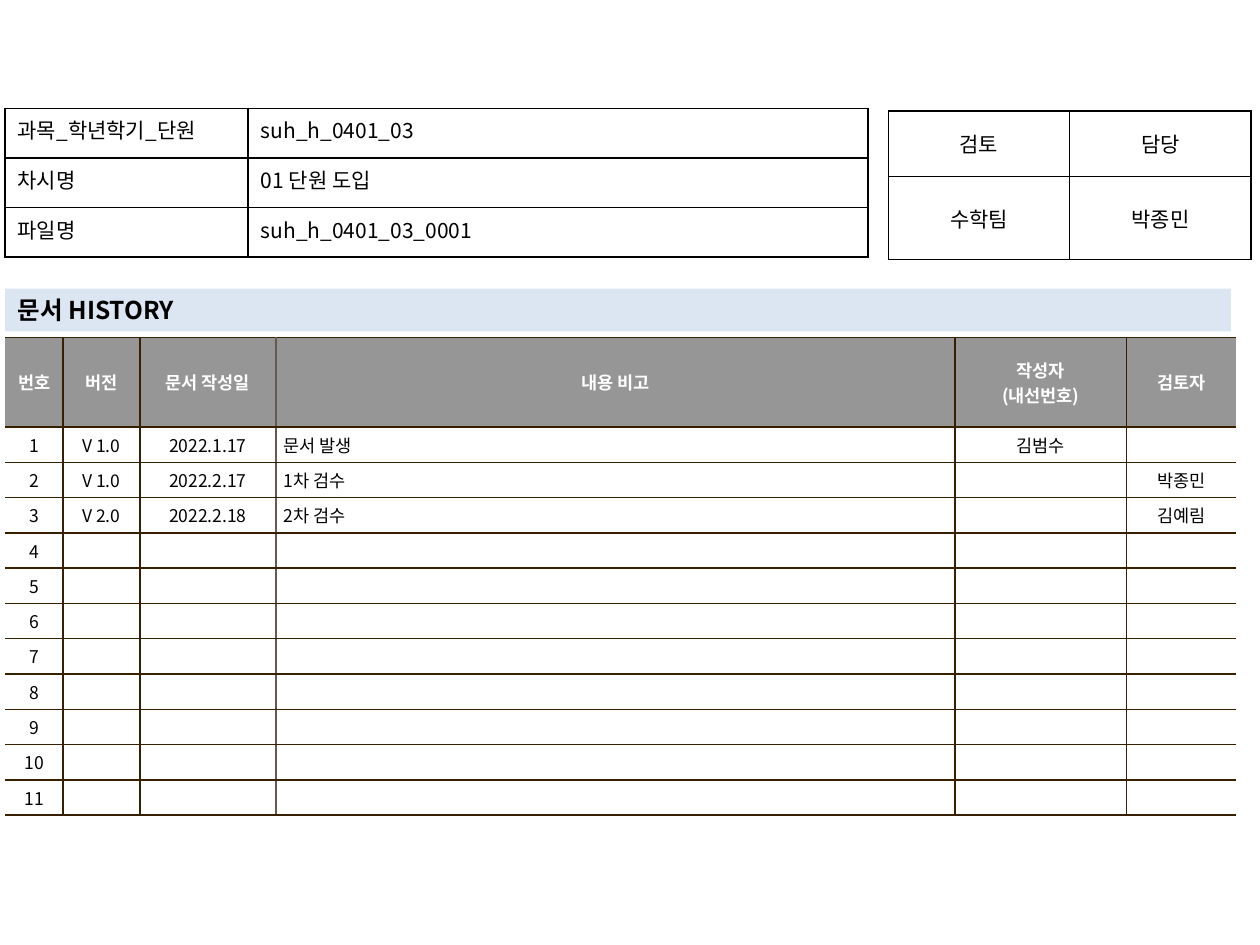
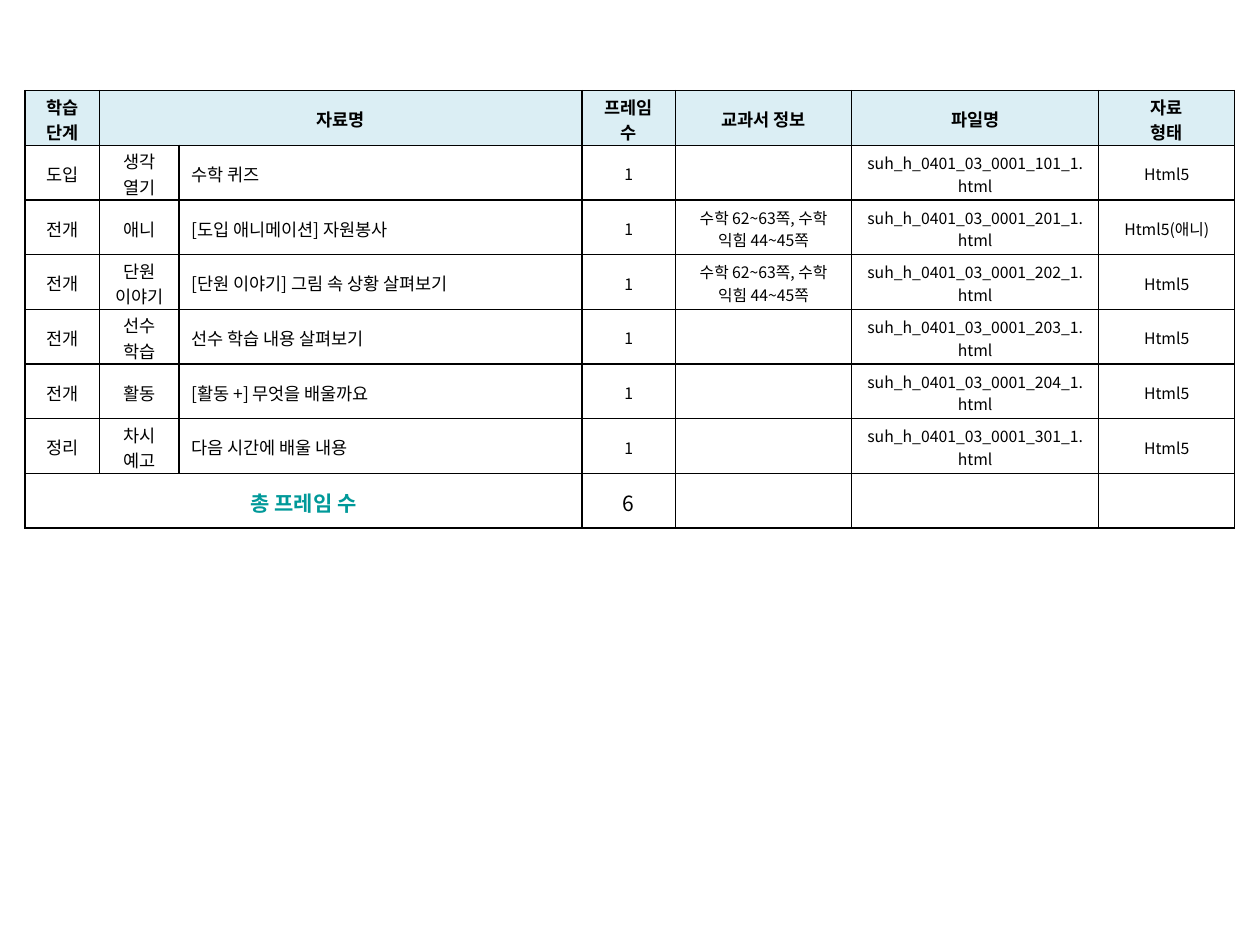
from collections.abc import Callable
from dataclasses import dataclass, replace

from lxml.etree import SubElement
from pptx import Presentation
from pptx.dml.color import RGBColor
from pptx.enum.text import MSO_ANCHOR, MSO_AUTO_SIZE, PP_ALIGN
from pptx.oxml.ns import qn
from pptx.slide import Slide
from pptx.table import _Cell
from pptx.text.text import TextFrame
from pptx.util import Emu, Inches, Pt

FONT = "Noto Sans CJK KR"
BLACK = RGBColor(0x00, 0x00, 0x00)
WHITE = RGBColor(0xFF, 0xFF, 0xFF)
GRAY = RGBColor(0x96, 0x96, 0x96)
BROWN = RGBColor(0x36, 0x20, 0x00)
TAUPE = RGBColor(0x64, 0x5B, 0x4C)
PALE_BLUE = RGBColor(0xDC, 0xE6, 0xF2)
PALE_TEAL = RGBColor(0xDB, 0xEE, 0xF4)
TEAL = RGBColor(0x00, 0x99, 0x99)

GRID_COLUMNS, GRID_ROWS = 100, 75
GRID_STEP = Inches(0.1)


@dataclass(frozen=True)
class Look:
    size: float = 12
    bold: bool = False
    color: RGBColor = BLACK
    align: PP_ALIGN = PP_ALIGN.CENTER
    fill: RGBColor | None = None


@dataclass(frozen=True)
class Grid:
    left: float
    top: float
    columns: list[float]
    rows: list[float]
    look: Callable[[int, int], Look]
    margins: tuple[float, float, float, float] = (1, 0.5, 1, 0.5)
    anchor: MSO_ANCHOR = MSO_ANCHOR.MIDDLE
    border: RGBColor = BLACK
    open_sides: bool = False
    soft_edge: int | None = None
    merges: tuple[tuple[int, int, int], ...] = ()


def steps(count: float) -> Emu:
    return Emu(round(count * GRID_STEP))


def write_text(frame: TextFrame, text: str, *, size: float, bold: bool = False,
               color: RGBColor = BLACK, align: PP_ALIGN = PP_ALIGN.LEFT) -> None:
    frame.text = text
    for paragraph in frame.paragraphs:
        paragraph.alignment = align
        for run in paragraph.runs:
            run.font.name = FONT
            run.font.size = Pt(size)
            run.font.bold = bold
            run.font.color.rgb = color
            SubElement(run.font._element, qn("a:ea"), typeface=FONT)
        if not paragraph.runs:
            SubElement(paragraph._p, qn("a:endParaRPr"), sz=str(int(size * 100)))


def draw_border(cell: _Cell, side: str, color: RGBColor | None) -> None:
    properties = cell._tc.get_or_add_tcPr()
    line = SubElement(properties, qn(f"a:ln{side}"), w=str(Pt(1)))
    if color is None:
        SubElement(line, qn("a:noFill"))
    else:
        paint = SubElement(line, qn("a:solidFill"))
        SubElement(paint, qn("a:srgbClr"), val=str(color))


def side_colors(grid: Grid, column: int) -> dict[str, RGBColor | None]:
    def edge(index: int) -> RGBColor | None:
        if grid.open_sides and index in (0, len(grid.columns)):
            return None
        return TAUPE if index == grid.soft_edge else grid.border

    return {"L": edge(column), "R": edge(column + 1),
            "T": grid.border, "B": grid.border}


def draw_table(slide: Slide, grid: Grid, content: list[list[str]]) -> None:
    table = slide.shapes.add_table(
        len(grid.rows), len(grid.columns), steps(grid.left), steps(grid.top),
        steps(sum(grid.columns)), steps(sum(grid.rows))).table
    table.first_row = table.horz_banding = False
    for column, width in zip(table.columns, grid.columns):
        column.width = steps(width)
    for row, height in zip(table.rows, grid.rows):
        row.height = steps(height)
    for r, texts in enumerate(content):
        for c, text in enumerate(texts):
            cell, look = table.cell(r, c), grid.look(r, c)
            for side, color in side_colors(grid, c).items():
                draw_border(cell, side, color)
            if look.fill is None:
                cell.fill.background()
            else:
                cell.fill.solid()
                cell.fill.fore_color.rgb = look.fill
            (cell.margin_left, cell.margin_top,
             cell.margin_right, cell.margin_bottom) = map(steps, grid.margins)
            cell.vertical_anchor = grid.anchor
            write_text(cell.text_frame, text, size=look.size, bold=look.bold,
                       color=look.color, align=look.align)
    for row, first, last in grid.merges:
        table.cell(row, first).merge(table.cell(row, last))


def draw_heading(slide: Slide, text: str) -> None:
    heading = slide.shapes.title
    heading.left, heading.top = steps(0.4), steps(22.9)
    heading.width, heading.height = steps(97.3), steps(3.4)
    heading.fill.solid()
    heading.fill.fore_color.rgb = PALE_BLUE
    frame = heading.text_frame
    frame.auto_size = MSO_AUTO_SIZE.NONE
    frame.word_wrap = True
    frame.vertical_anchor = MSO_ANCHOR.MIDDLE
    write_text(frame, text, size=14, bold=True)


def history_look(row: int, column: int) -> Look:
    if row == 0:
        return Look(size=10, bold=True, color=WHITE, fill=GRAY)
    align = PP_ALIGN.LEFT if column == 3 else PP_ALIGN.CENTER
    return Look(size=10, align=align, fill=WHITE)


def frames_look(row: int, column: int) -> Look:
    if row == 0:
        return Look(size=10, bold=True, fill=PALE_TEAL)
    if row == len(LESSON_PARTS) + 1:
        return Look(bold=True, color=TEAL) if column < 3 else Look()
    base = Look(size=10 if column < 3 else 9)
    return replace(base, align=PP_ALIGN.LEFT) if column == 2 else base


FILE_STEM = "suh_h_0401_03"
UNIT_INFO = [
    ["과목_학년학기_단원", FILE_STEM],
    ["차시명", "01 단원 도입"],
    ["파일명", f"{FILE_STEM}_0001"],
]
REVIEWERS = [["검토", "담당"], ["수학팀", "박종민"]]
HISTORY_HEADER = ["번호", "버전", "문서 작성일", "내용 비고", "작성자\n(내선번호)", "검토자"]
REVISIONS = [
    ["V 1.0", "2022.1.17", "문서 발생", "김범수", ""],
    ["V 1.0", "2022.2.17", "1차 검수", "", "박종민"],
    ["V 2.0", "2022.2.18", "2차 검수", "", "김예림"],
]
HISTORY_LENGTH = 11
FRAMES_HEADER = ["학습 단계", "자료명", "", "프레임 수", "교과서 정보", "파일명", "자료\n형태"]
TEXTBOOK_PAGES = "수학 62~63쪽, 수학 익힘 44~45쪽"
LESSON_PARTS = [
    ("도입", "생각\n열기", "수학 퀴즈", "", 101, "Html5"),
    ("전개", "애니", "[도입 애니메이션] 자원봉사", TEXTBOOK_PAGES, 201, "Html5(애니)"),
    ("전개", "단원\n이야기", "[단원 이야기] 그림 속 상황 살펴보기", TEXTBOOK_PAGES, 202, "Html5"),
    ("전개", "선수\n학습", "선수 학습 내용 살펴보기", "", 203, "Html5"),
    ("전개", "활동", "[활동 +] 무엇을 배울까요", "", 204, "Html5"),
    ("정리", "차시 예고", "다음 시간에 배울 내용", "", 301, "Html5"),
]

UNIT_GRID = Grid(0.4, 8.6, [19.3, 49.2], [3.93] * 3,
                 lambda row, column: Look(align=PP_ALIGN.LEFT), anchor=MSO_ANCHOR.TOP)
REVIEWER_GRID = Grid(70.5, 8.8, [14.4] * 2, [5.2, 6.6], lambda row, column: Look())
HISTORY_GRID = Grid(0.4, 26.8, [4.6, 6.1, 10.8, 53.9, 13.6, 8.7],
                    [7.1] + [2.79] * HISTORY_LENGTH, history_look,
                    margins=(0.6, 0.4, 0.6, 0.4), border=BROWN,
                    open_sides=True, soft_edge=3)
FRAMES_GRID = Grid(2, 7.2, [5.9, 6.3, 32, 7.4, 14, 19.6, 10.8],
                   [4.34] * (len(LESSON_PARTS) + 2), frames_look,
                   margins=(1, 0.2, 1, 0),
                   merges=((0, 1, 2), (len(LESSON_PARTS) + 1, 0, 2)))


def history_rows() -> list[list[str]]:
    blanks = [[""] * 5] * (HISTORY_LENGTH - len(REVISIONS))
    numbered = [[str(number), *entry]
                for number, entry in enumerate(REVISIONS + blanks, start=1)]
    return [HISTORY_HEADER, *numbered]


def frame_rows() -> list[list[str]]:
    parts = [[stage, kind, name, "1", pages, f"{FILE_STEM}_0001_{code}_1.html", form]
             for stage, kind, name, pages, code, form in LESSON_PARTS]
    total = ["총 프레임 수", "", "", str(len(LESSON_PARTS)), "", "", ""]
    return [FRAMES_HEADER, *parts, total]


def main() -> None:
    deck = Presentation()
    deck.slide_width, deck.slide_height = steps(GRID_COLUMNS), steps(GRID_ROWS)

    history = deck.slides.add_slide(deck.slide_layouts[5])
    draw_heading(history, "문서 HISTORY")
    draw_table(history, HISTORY_GRID, history_rows())
    draw_table(history, REVIEWER_GRID, REVIEWERS)
    draw_table(history, UNIT_GRID, UNIT_INFO)

    frames = deck.slides.add_slide(deck.slide_layouts[6])
    draw_table(frames, FRAMES_GRID, frame_rows())

    deck.save("out.pptx")


if __name__ == "__main__":
    main()
